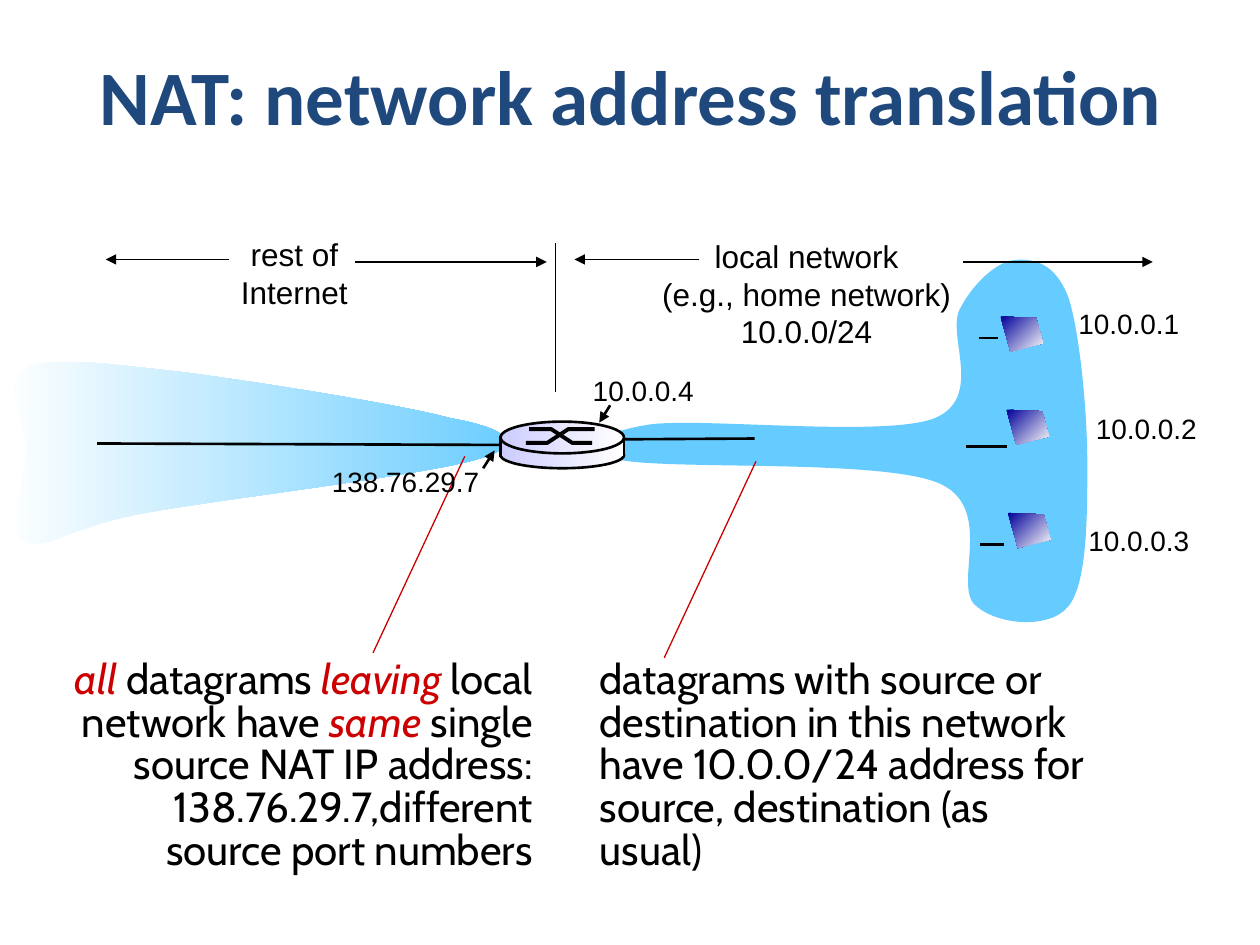
from lxml.etree import SubElement
from pptx import Presentation
from pptx.dml.color import RGBColor as Rgb
from pptx.enum.shapes import MSO_CONNECTOR as Link, MSO_SHAPE as Form
from pptx.enum.text import MSO_ANCHOR as Anchor, PP_ALIGN as Align
from pptx.oxml.ns import qn
from pptx.util import Cm, Pt

HUES = {
    "ink": "000000", "title": "1F497D", "red": "CC0000", "sky": "66CCFF",
    "white": "FFFFFF", "lilac": "CCCCFF", "navy": "000099",
}

LOCAL = [
    (1.55, 3.35), (2.59, 3.2), (6.25, 3.61), (7.29, 3.23), (8.33, 2.82),
    (7.54, 1.55), (7.82, 1.02), (8.1, 0.48), (8.59, 0.05), (8.94, 0.03),
    (9.32, 0), (9.75, 0.1), (10.01, 0.79), (10.24, 1.5), (10.39, 3.1),
    (10.39, 4.14), (10.39, 5.18), (10.39, 6.55), (10.01, 7.01), (9.63, 7.49),
    (8.56, 7.39), (8.13, 6.99), (7.67, 6.58), (8.56, 5), (7.37, 4.52),
    (6.17, 4.04), (1.96, 4.27), (0.97, 4.06), (0, 3.86), (0.56, 3.51),
    (1.55, 3.35),
]
REST = [
    (9.07, 1.27), (8.05, 0.99), (5, 0.51), (3.58, 0.33), (2.16, 0.18),
    (1.02, 0), (0.51, 0.28), (0, 0.53), (0.53, 1.32), (0.53, 1.91),
    (0.53, 2.49), (0.1, 3.53), (0.51, 3.76), (0.91, 3.96), (1.4, 3.45),
    (2.92, 3.18), (4.45, 2.9), (8.64, 2.41), (9.68, 2.08), (10.69, 1.78),
    (10.11, 1.45), (9.07, 1.27),
]


def hue(name):
    return Rgb.from_string(HUES[name])


def paint(shape, fill=None, line=None, width=1.5, angle=0):
    shape.shadow.inherit = False
    if fill is None:
        shape.fill.background()
    elif isinstance(fill, tuple):
        shape.fill.gradient()
        shape.fill.gradient_angle = angle
        for stop, name in zip(shape.fill.gradient_stops, fill):
            stop.color.rgb = hue(name)
    else:
        shape.fill.solid()
        shape.fill.fore_color.rgb = hue(fill)
    if line:
        shape.line.color.rgb = hue(line)
        shape.line.width = Pt(width)
    else:
        shape.line.fill.background()


def trace(slide, box, dots, close=True):
    spots = [(Cm(box[0] + x), Cm(box[1] + y)) for x, y in dots]
    pen = slide.shapes.build_freeform(*spots[0])
    pen.add_line_segments(spots[1:], close=close)
    return pen.convert_to_shape()


def bend(shape):
    legs = list(shape._element.iter(qn("a:lnTo")))
    for i in range(0, len(legs) - 2, 3):
        arc = legs[i].makeelement(qn("a:cubicBezTo"))
        legs[i].addprevious(arc)
        for leg in legs[i:i + 3]:
            arc.append(leg[0])
            leg.getparent().remove(leg)
    return shape


def wire(slide, box, start, end, color="ink", width=1.5, arrow=False):
    x, y = box[:2]
    line = slide.shapes.add_connector(
        Link.STRAIGHT, Cm(x + start[0]), Cm(y + start[1]),
        Cm(x + end[0]), Cm(y + end[1]))
    line.line.color.rgb = hue(color)
    line.line.width = Pt(width)
    if arrow:
        SubElement(line.line._get_or_add_ln(), qn("a:tailEnd"), type="triangle")
    SubElement(line._element.spPr, qn("a:effectLst"))


def write(slide, box, lines, size, font="Arial", align=Align.LEFT, color="ink",
          wrap=False, gap=None, bold=None, anchor=Anchor.TOP):
    frame = slide.shapes.add_textbox(*map(Cm, box)).text_frame
    frame.word_wrap = wrap
    frame.vertical_anchor = anchor
    for n, line in enumerate(lines):
        para = frame.paragraphs[0] if n == 0 else frame.add_paragraph()
        para.alignment = align
        para.line_spacing = gap
        para.font.name, para.font.size, para.font.bold = font, Pt(size), bold
        para.font.color.rgb = hue(color)
        for k, piece in enumerate(line.split("*")):
            if piece:
                run = para.add_run()
                run.text = piece
                if k % 2:
                    run.font.italic = True
                    run.font.color.rgb = hue("red")


def title(slide, box):
    write(slide, box, ["NAT: network address translation"], 44, "Calibri",
          Align.CENTER, "title", True, bold=True, anchor=Anchor.MIDDLE)


def cloud(slide, box, knots, fill, start, end):
    paint(bend(trace(slide, box, knots)), fill)
    wire(slide, box, start, end)


def span(slide, box):
    x, y = box
    write(slide, (x + 2.47, y, 2.67, 1.78), ["rest of", "Internet"], 18,
          align=Align.CENTER)
    write(slide, (x + 10.83, y + 0.03, 6.6, 2.54),
          ["local network", "(e.g., home network)", "10.0.0/24"], 18,
          align=Align.CENTER)
    for left, right, top in ((2.49, 0, 0.61), (5.03, 8.89, 0.66),
                             (11.97, 9.45, 0.61), (17.28, 21.11, 0.66)):
        wire(slide, box, (left, top), (right, top), width=0.75, arrow=True)
    wire(slide, box, (9.07, 0.28), (9.07, 3.28), width=0.75)


def router(slide, box):
    x, y, w, h = box
    write(slide, (x + 1.61, y - 1.1, 2.57, 0.94), ["10.0.0.4"], 16)
    wire(slide, box, (2.21, -0.33), (1.99, 0.02), arrow=True)
    write(slide, (x - 3.65, y + 0.74, 3.51, 0.94), ["138.76.29.7"], 16)
    wire(slide, box, (-0.35, 0.94), (-0.12, 0.58), arrow=True)
    for form, top, high, line in ((Form.OVAL, h - 0.53, 0.53, "ink"),
                                  (Form.RECTANGLE, 0.36, 0.33, None),
                                  (Form.OVAL, 0, 0.64, "ink")):
        part = slide.shapes.add_shape(form, Cm(x), Cm(y + top), Cm(w), Cm(high))
        paint(part, ("lilac", "white"), line)
    for dots in ([(0.51, 0.43), (0.94, 0.43), (1.37, 0.15), (1.9, 0.15)],
                 [(0.58, 0.15), (1.02, 0.15), (1.45, 0.43), (1.85, 0.43)]):
        paint(trace(slide, box, dots, False), line="ink", width=2.25)
    for side in (0, w):
        wire(slide, box, (side, 0.29), (side, 0.71))


def host(slide, box, stub, tag, name):
    left, right, top = stub
    wire(slide, box, (left, top), (right, top))
    screen = trace(slide, box, [(0, 0), (0.72, 0.03), (0.86, 0.54), (0.2, 0.71)])
    paint(screen, ("navy", "white"), angle=315)
    write(slide, (box[0] + tag[0], box[1] + tag[1], 2.57, 0.94), [name], 16)


def note(slide, box, lines, align, foot):
    write(slide, box, lines, 24, "Cabin", align, wrap=True, gap=0.85)
    wire(slide, box, foot, (foot[0] + 1.85, foot[1] - 3.96), "red", 0.75)


def main():
    deck = Presentation()
    deck.slide_width, deck.slide_height = Cm(25.4), Cm(19.05)
    slide = deck.slides.add_slide(deck.slide_layouts[6])
    cloud(slide, (11.53, 5.21), LOCAL, "sky", (0.33, 3.65), (3.68, 3.63))
    title(slide, (1.49, 0.66, 22.48, 2.51))
    cloud(slide, (0, 7.16), REST, ("white", "sky"), (1.96, 1.78), (10.36, 1.81))
    span(slide, (2.13, 4.62))
    note(slide, (11.84, 13.18, 10.46, 3.71),
         ["datagrams with source or", "destination in this network",
          "have 10.0.0/24 address for", "source, destination (as usual)"],
         Align.LEFT, (1.55, 0.08))
    note(slide, (0.75, 13.18, 10.24, 4.57),
         ["*all *datagrams *leaving* local",
          "network have *same* single source NAT IP address: "
          "138.76.29.7,different source port numbers"],
         Align.RIGHT, (6.77, -0.02))
    router(slide, (10.09, 8.5, 2.49, 0.94))
    host(slide, (20.17, 6.38), (-0.43, -0.05, 0.43), (1.32, -0.33), "10.0.0.1")
    host(slide, (20.29, 8.26), (-0.81, 0, 0.74), (1.55, -0.08), "10.0.0.2")
    host(slide, (20.32, 10.34), (-0.56, -0.08, 0.64), (1.37, 0.08), "10.0.0.3")
    deck.save("out.pptx")


if __name__ == "__main__":
    main()
